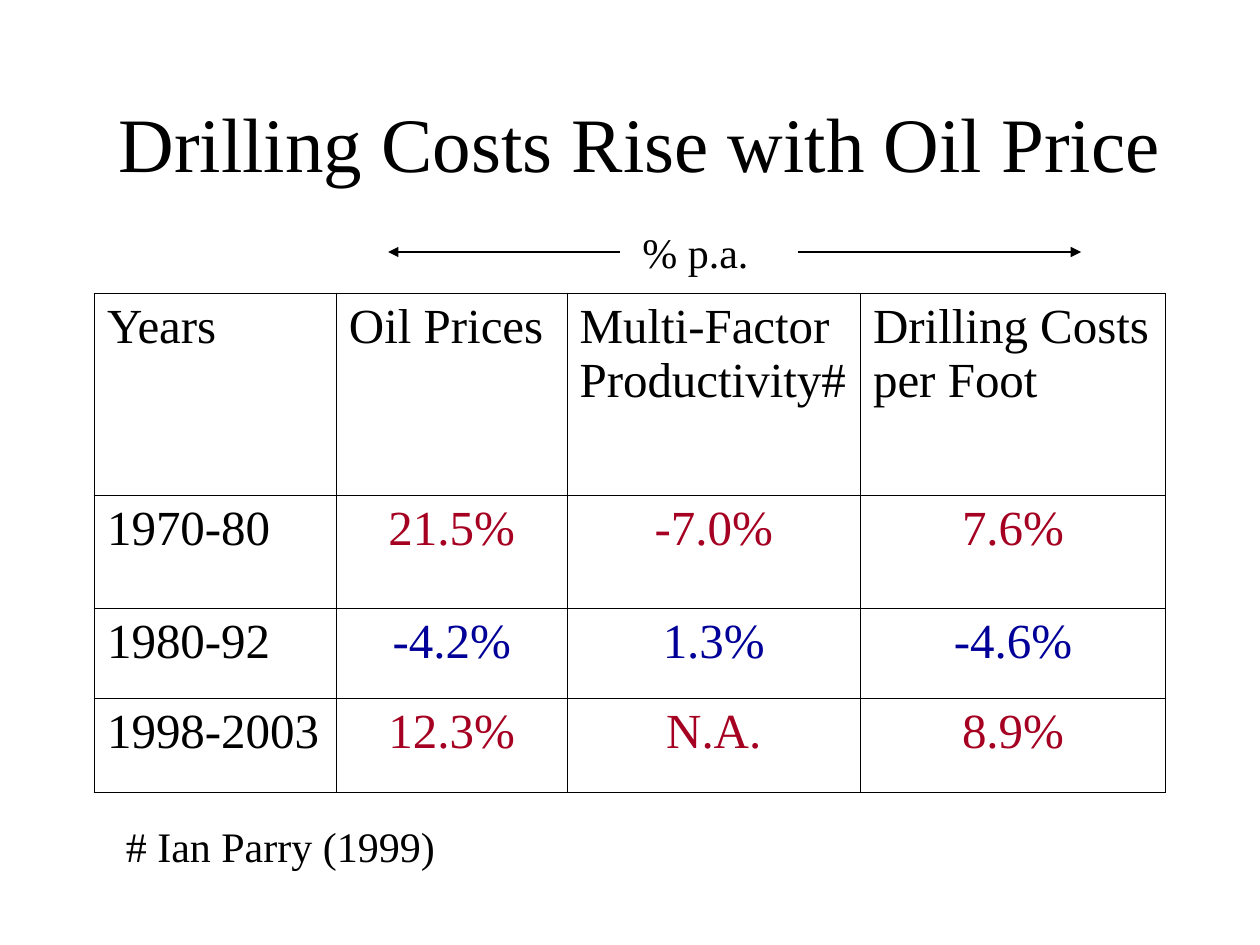
from lxml import etree
from pptx import Presentation
from pptx.dml.color import RGBColor
from pptx.enum import shapes, text
from pptx.oxml import ns
from pptx.util import Inches, Pt

BLACK, RED, BLUE = "000000", "A50021", "000099"


def style(para, size, color=BLACK, align=text.PP_ALIGN.LEFT):
    para.alignment = align
    para.font.name = "Times New Roman"
    para.font.size = Pt(size)
    para.font.color.rgb = RGBColor.from_string(color)


def border(cell, side, width):
    line = etree.SubElement(cell._tc.get_or_add_tcPr(), ns.qn("a:ln" + side),
                            w=str(Pt(width)))
    fill = etree.SubElement(line, ns.qn("a:solidFill"))
    etree.SubElement(fill, ns.qn("a:srgbClr"), val=BLACK)


prs = Presentation()
prs.slide_width, prs.slide_height = Inches(10), Inches(7.5)
slide = prs.slides.add_slide(prs.slide_layouts[5])

# Title
title = slide.shapes.title
title.left, title.top = Inches(0.83), Inches(0.5)
title.width, title.height = Inches(8.5), Inches(1.25)
title.text = "Drilling Costs Rise with Oil Price"
title.text_frame.auto_size = text.MSO_AUTO_SIZE.NONE
title.text_frame.vertical_anchor = text.MSO_ANCHOR.MIDDLE
style(title.text_frame.paragraphs[0], 44, align=text.PP_ALIGN.CENTER)

# Table
rows = [
    (1.6, BLACK, ["Years", "Oil Prices", "Multi-Factor Productivity#",
                  "Drilling Costs per Foot"]),
    (0.9, RED, ["1970-80", "21.5%", "-7.0%", "7.6%"]),
    (0.71, BLUE, ["1980-92", "-4.2%", "1.3%", "-4.6%"]),
    (0.75, RED, ["1998-2003", "12.3%", "N.A.", "8.9%"]),
]
widths = [1.92, 1.83, 2.33, 2.42]
table = slide.shapes.add_table(len(rows), len(widths), Inches(0.75), Inches(2.33),
                               Inches(8.5), Inches(3.96)).table
table.first_row = table.horz_banding = False
for col, width in zip(table.columns, widths):
    col.width = Inches(width)

for r, (height, color, words) in enumerate(rows):
    table.rows[r].height = Inches(height)
    for c, word in enumerate(words):
        cell = table.cell(r, c)
        cell.text = word
        value = r > 0 and c > 0
        style(cell.text_frame.paragraphs[0], 28, color if value else BLACK,
              text.PP_ALIGN.CENTER if value else text.PP_ALIGN.LEFT)
        # Outer edges are heavier than the inner grid
        edges = {"L": c == 0, "R": c == len(widths) - 1,
                 "T": r == 0, "B": r == len(rows) - 1}
        for side, outer in edges.items():
            border(cell, side, 1.08 if outer else 0.45)
        cell.fill.background()

# Unit label and footnote
for left, top, width, words in [(5, 1.75, 1.04, "% p.a."),
                                (0.9, 6.46, 2.65, "# Ian Parry (1999)")]:
    box = slide.shapes.add_textbox(Inches(left), Inches(top), Inches(width), Inches(0.5))
    box.text_frame.word_wrap = False
    box.text_frame.auto_size = text.MSO_AUTO_SIZE.SHAPE_TO_FIT_TEXT
    box.text_frame.text = words
    style(box.text_frame.paragraphs[0], 24)

# Arrows out from the unit label
for start, end in [(6.33, 8.58), (4.92, 3.08)]:
    arrow = slide.shapes.add_connector(shapes.MSO_CONNECTOR.STRAIGHT, Inches(start),
                                       Inches(2), Inches(end), Inches(2))
    arrow.line.color.rgb = RGBColor.from_string(BLACK)
    arrow.line.width = Pt(0.75)
    etree.SubElement(arrow.line._get_or_add_ln(), ns.qn("a:tailEnd"), type="triangle")
    etree.SubElement(arrow._element.spPr, ns.qn("a:effectLst"))

prs.save("out.pptx")
